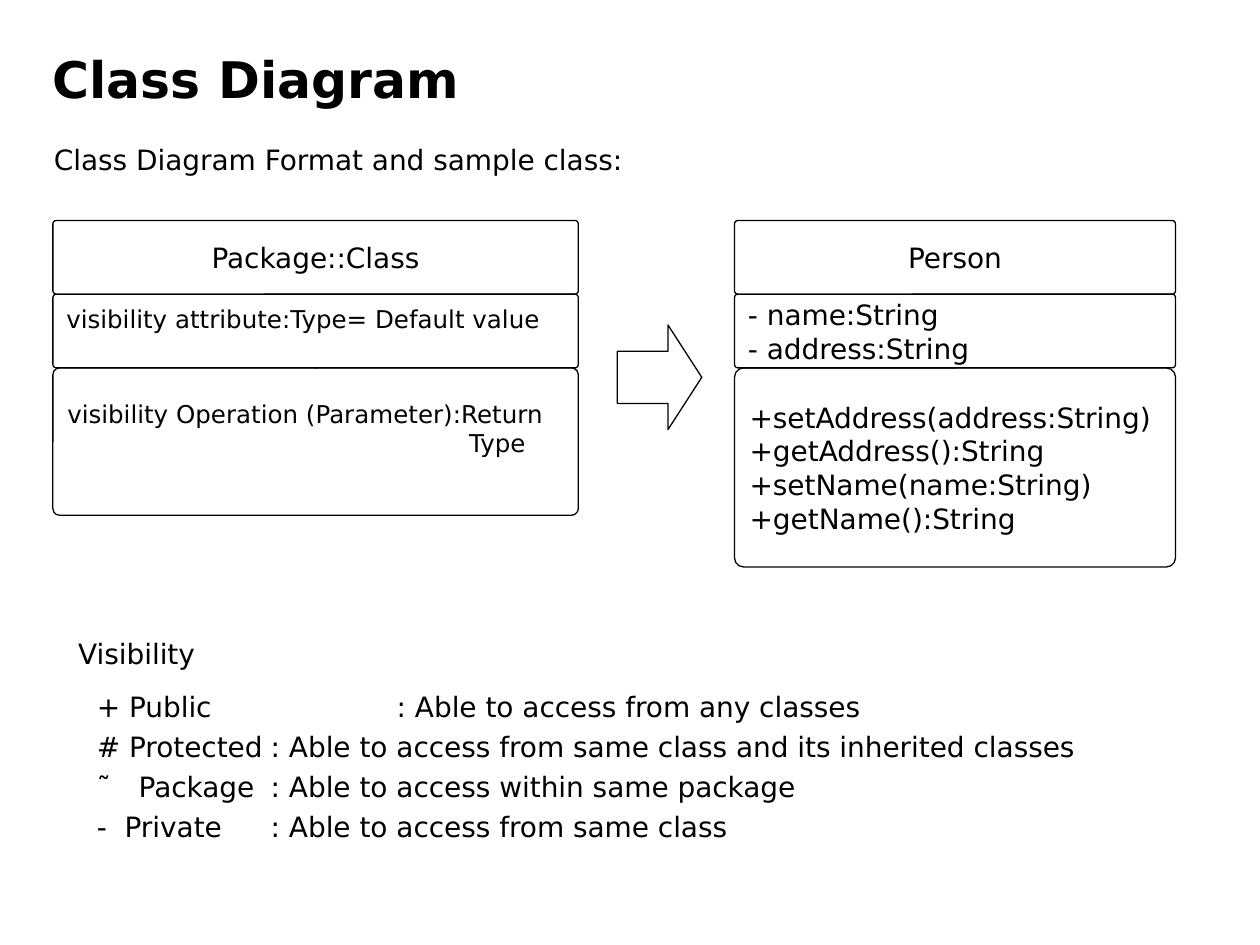
from pptx import Presentation
from pptx.dml.color import RGBColor
from pptx.enum.shapes import MSO_SHAPE as Shape
from pptx.enum.text import MSO_ANCHOR as Anchor, PP_ALIGN as Align
from pptx.oxml import parse_xml
from pptx.oxml.ns import nsdecls
from pptx.util import Inches, Pt

FONT = "DejaVu Sans"
BLACK = "000000"
CLASS_TOP = 1.75
ROW_HEIGHT = 0.585
CORNER = 0.046

HEADINGS = [
    (["Class Diagram"], (0.32, 0.33, 8.5, 0.58),
     dict(size=28.8, bold=True, anchor=Anchor.MIDDLE)),
    (["Class Diagram Format and sample class:"], (0.33, 1.08, 9.5, 0.67), {}),
    (["Visibility"], (0.17, 5, 1.83, 0.42), dict(align=Align.CENTER)),
]
VISIBILITIES = [
    "+ Public\t\t: Able to access from any classes",
    "# Protected\t: Able to access from same class and its inherited classes",
    "˜\u3000Package\t: Able to access within same package",
    "-  Private\t: Able to access from same class",
]
NAME_FORMAT = dict(anchor=Anchor.MIDDLE, align=Align.CENTER)
MEMBER_FORMAT = dict(anchor=Anchor.MIDDLE)
CLASSES = [
    (0.42, 4.17, [
        (["Package::Class"], ROW_HEIGHT, NAME_FORMAT),
        (["visibility attribute:Type= Default value"], ROW_HEIGHT,
         dict(size=14, top_inset=0.07)),
        (["visibility Operation (Parameter):Return", "Type"], 1.17,
         dict(size=14, top_inset=0.23, last_indent=3.19)),
    ]),
    (5.83, 3.5, [
        (["Person"], ROW_HEIGHT, NAME_FORMAT),
        (["- name:String", "- address:String"], ROW_HEIGHT, MEMBER_FORMAT),
        (["+setAddress(address:String)", "+getAddress():String",
          "+setName(name:String)", "+getName():String"], 1.58, MEMBER_FORMAT),
    ]),
]


def color(value):
    return RGBColor.from_string(value)


def write(shape, lines, size=16, bold=False, align=Align.LEFT, anchor=Anchor.TOP,
          top_inset=0.05, gap=0, last_indent=0, tabs=()):
    frame = shape.text_frame
    frame.word_wrap = True
    frame.vertical_anchor = anchor
    frame.margin_top = Inches(top_inset)
    for index, line in enumerate(lines):
        paragraph = frame.add_paragraph() if index else frame.paragraphs[0]
        paragraph.alignment = align
        if index:
            paragraph.space_before = Pt(gap)
        run = paragraph.add_run()
        run.text = line
        run.font.name = FONT
        run.font.size = Pt(size)
        run.font.bold = bold
        run.font.color.rgb = color(BLACK)
        properties = paragraph._p.get_or_add_pPr()
        if tabs:
            stops = "".join(f'<a:tab pos="{Inches(stop)}" algn="l"/>' for stop in tabs)
            properties.append(parse_xml(f'<a:tabLst {nsdecls("a")}>{stops}</a:tabLst>'))
    if last_indent:
        properties.set("marL", str(Inches(last_indent)))


def add_outline(slide, kind, box, adjustments):
    shape = slide.shapes.add_shape(kind, *map(Inches, box))
    shape.shadow.inherit = False
    shape.fill.background()
    shape.line.color.rgb = color(BLACK)
    shape.line.width = Pt(0.75)
    for index, value in enumerate(adjustments):
        shape.adjustments[index] = value
    return shape


def add_text(slide, lines, box, **text_format):
    write(slide.shapes.add_textbox(*map(Inches, box)), lines, **text_format)


def add_class(slide, left, width, compartments):
    top = CLASS_TOP
    for lines, height, text_format in compartments:
        shape = add_outline(slide, Shape.ROUNDED_RECTANGLE,
                            (left, top, width, height), [CORNER])
        write(shape, lines, **text_format)
        top += height


def main():
    presentation = Presentation()
    presentation.slide_width = Inches(10)
    presentation.slide_height = Inches(7.5)
    slide = presentation.slides.add_slide(presentation.slide_layouts[6])
    for lines, box, text_format in HEADINGS:
        add_text(slide, lines, box, **text_format)
    for left, width, compartments in CLASSES:
        add_class(slide, left, width, compartments)
    add_outline(slide, Shape.RIGHT_ARROW, (4.9, 2.58, 0.67, 0.83), [0.5, 0.4])
    add_text(slide, VISIBILITIES, (0.67, 5.42, 8.75, 1.25), gap=3.8, tabs=(1.38, 2.38))
    presentation.save("out.pptx")


if __name__ == "__main__":
    main()
